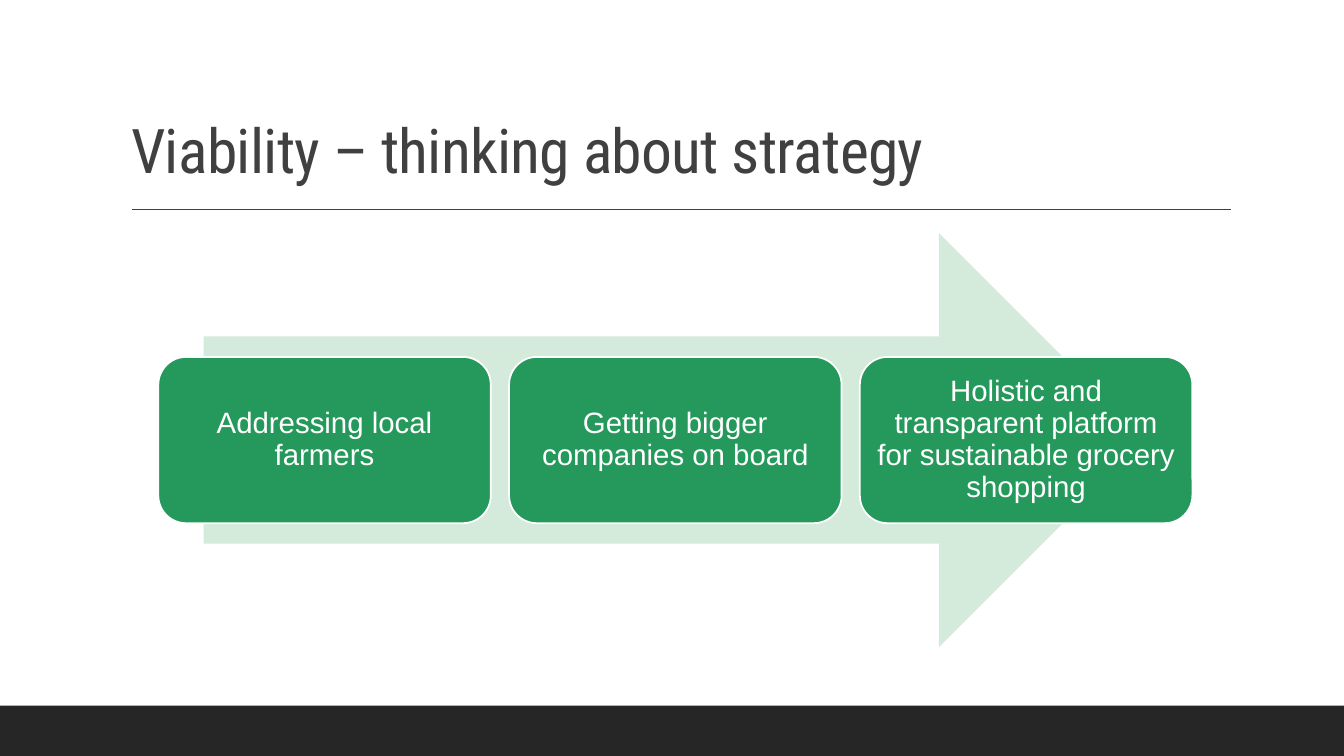
from lxml.etree import SubElement
from pptx import Presentation
from pptx.dml.color import RGBColor
from pptx.enum.shapes import MSO_CONNECTOR, MSO_SHAPE
from pptx.enum.text import MSO_ANCHOR, MSO_AUTO_SIZE, PP_ALIGN
from pptx.oxml.ns import qn
from pptx.util import Cm, Pt

# Content
TITLE = "Viability – thinking about strategy"
STEPS = [
    "Addressing local farmers",
    "Getting bigger companies on board",
    "Holistic and transparent platform for sustainable grocery shopping",
]

# Colours
DARK, GREY, WHITE = "262626", "404040", "FFFFFF"
GREEN, PALE_GREEN = "25995C", "D4EBDB"

# Layout in centimetres
PAGE_WIDTH, PAGE_HEIGHT = 33.87, 19.05
FOOTER_HEIGHT = 1.27
ARROW_LEFT, ARROW_TOP, ARROW_WIDTH, ARROW_HEIGHT = 5.13, 5.87, 23.75, 10.44
STEP_LEFT, STEP_WIDTH, STEP_HEIGHT, STEP_GAP = 3.99, 8.38, 4.19, 0.46
STEP_TOP = ARROW_TOP + (ARROW_HEIGHT - STEP_HEIGHT) / 2
STEP_INSET = 0.23


def colour(value):
    return RGBColor.from_string(value)


def add_shape(kind, left, top, width, height, fill):
    shape = page.shapes.add_shape(kind, Cm(left), Cm(top), Cm(width), Cm(height))
    shape.shadow.inherit = False
    shape.fill.solid()
    shape.fill.fore_color.rgb = colour(fill)
    shape.line.fill.background()
    return shape


def format_text(para, font, size, text_colour):
    para.line_spacing = 0.9
    span = para.runs[0]
    span.font.name = font
    span.font.size = Pt(size)
    span.font.color.rgb = colour(text_colour)
    return span


deck = Presentation()
deck.slide_width, deck.slide_height = Cm(PAGE_WIDTH), Cm(PAGE_HEIGHT)
page = deck.slides.add_slide(deck.slide_layouts[5])

# Footer bar
add_shape(MSO_SHAPE.RECTANGLE, 0, PAGE_HEIGHT - FOOTER_HEIGHT,
          PAGE_WIDTH, FOOTER_HEIGHT, DARK)

# Rule under the title
rule = page.shapes.add_connector(
    MSO_CONNECTOR.STRAIGHT, Cm(3.33), Cm(5.28), Cm(31.01), Cm(5.28))
rule.line.color.rgb = colour(GREY)
rule.line.width = Pt(1)
SubElement(rule._element.spPr, qn("a:effectLst"))

# Title
title = page.shapes.title
title.left, title.top, title.width, title.height = Cm(3.05), Cm(0.79), Cm(27.94), Cm(4.04)
frame = title.text_frame
frame.text = TITLE
frame.word_wrap = True
frame.auto_size = MSO_AUTO_SIZE.NONE
frame.vertical_anchor = MSO_ANCHOR.BOTTOM
para = frame.paragraphs[0]
para.alignment = PP_ALIGN.LEFT
span = format_text(para, "Roboto Condensed", 44, GREY)
span._r.get_or_add_rPr().set("spc", "-50")

# Arrow behind the steps
add_shape(MSO_SHAPE.RIGHT_ARROW, ARROW_LEFT, ARROW_TOP,
          ARROW_WIDTH, ARROW_HEIGHT, PALE_GREEN)

# Steps
for index, step in enumerate(STEPS):
    left = STEP_LEFT + index * (STEP_WIDTH + STEP_GAP)
    box = add_shape(MSO_SHAPE.ROUNDED_RECTANGLE, left, STEP_TOP,
                    STEP_WIDTH, STEP_HEIGHT, GREEN)
    box.line.color.rgb = colour(WHITE)
    box.line.width = Pt(1.25)
    frame = box.text_frame
    frame.text = step
    frame.word_wrap = True
    frame.vertical_anchor = MSO_ANCHOR.MIDDLE
    frame.margin_left = frame.margin_right = Cm(STEP_INSET)
    frame.margin_top = frame.margin_bottom = Cm(STEP_INSET)
    para = frame.paragraphs[0]
    para.alignment = PP_ALIGN.CENTER
    format_text(para, "Arial", 21, WHITE)

deck.save("out.pptx")
